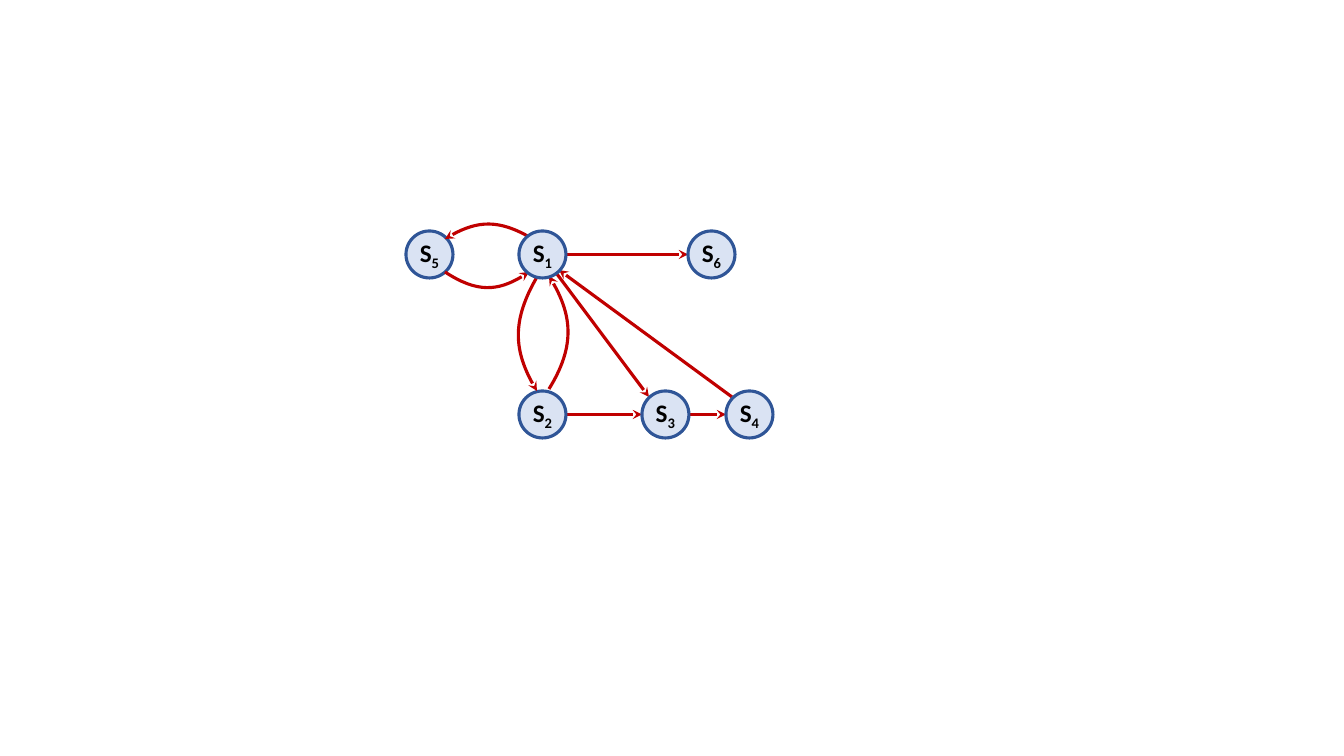
from lxml import etree
from pptx import Presentation, util as u
from pptx.dml.color import RGBColor
from pptx.enum import shapes, text
from pptx.oxml.ns import qn

# Content, lengths in px
SIZE = (1344, 756)
DIAMETER = 47
TOP_ROW, BOTTOM_ROW = 231, 391
STATES = {  # subscript: (left, top)
    "1": (519, TOP_ROW),
    "2": (519, BOTTOM_ROW),
    "3": (642, BOTTOM_ROW),
    "4": (726, BOTTOM_ROW),
    "5": (406, TOP_ROW),
    "6": (688, TOP_ROW),
}
ROW_ARROWS = [("1", "6"), ("2", "3"), ("3", "4")]
DIAGONAL_ARROWS = [((732, 397), (559, 270)), ((542, 254), (649, 397))]
CURVES = [  # start, two control points, end
    ((537, 277), (512, 320), (514, 354), (537, 391)),  # S1 to S2
    ((549, 389), (575, 347), (572, 312), (549, 276)),  # S2 to S1
    ((531, 238), (499, 219), (473, 221), (445, 239)),  # S1 to S5
    ((445, 272), (477, 293), (502, 291), (529, 272)),  # S5 to S1
]

RED = RGBColor(0xC0, 0x00, 0x00)
BLUE = RGBColor(0x2F, 0x55, 0x97)
PALE_BLUE = RGBColor(0xDA, 0xE3, 0xF3)
BLACK = RGBColor(0, 0, 0)
LINE_WIDTH = u.Pt(2.25)
SCALE = 914400 / 100.8


def px(value):
    return u.Emu(round(value * SCALE))


def style_line(sp, color):
    sp.line.color.rgb = color
    sp.line.width = LINE_WIDTH


def style_arrow(sp):
    style_line(sp, RED)
    ln = sp.line._get_or_add_ln()
    etree.SubElement(ln, qn("a:tailEnd"), type="stealth")


def add_arrow(slide, start, end):
    sp = slide.shapes.add_connector(
        shapes.MSO_CONNECTOR.STRAIGHT, *map(px, (*start, *end)))
    style_arrow(sp)
    etree.SubElement(sp._element.spPr, qn("a:effectLst"))


def add_curve(slide, points):
    """Add a cubic curve whose frame is set by its ends and its midpoint."""
    start, c1, c2, end = points
    middle = tuple((a + 3 * b + 3 * c + d) / 8
                   for a, b, c, d in zip(start, c1, c2, end))
    builder = slide.shapes.build_freeform(*start, scale=SCALE)
    builder.add_line_segments([middle, end], close=False)
    sp = builder.convert_to_shape()
    sp.fill.background()
    sp.shadow.inherit = False
    style_arrow(sp)

    outline = next(sp._element.iter(qn("a:path")))
    for segment in outline.findall(qn("a:lnTo")):
        outline.remove(segment)
    left = min(p[0] for p in (start, middle, end))
    top = min(p[1] for p in (start, middle, end))
    unit = int(outline.get("w")) / (sp.width / SCALE)
    bezier = etree.SubElement(outline, qn("a:cubicBezTo"))
    for x, y in (c1, c2, end):
        etree.SubElement(bezier, qn("a:pt"), x=str(round((x - left) * unit)),
                         y=str(round((y - top) * unit)))


def add_text(p, content, size=18, bold=True, color=BLACK, font="Calibri", baseline=0):
    r = p.add_run()
    r.text = content
    r.font.name, r.font.size, r.font.bold = font, u.Pt(size), bold
    r.font.color.rgb = color
    if baseline:
        r.font._element.set("baseline", str(baseline * 1000))


def add_state(slide, number):
    left, top = STATES[number]
    sp = slide.shapes.add_shape(
        shapes.MSO_SHAPE.OVAL, *map(px, (left, top, DIAMETER, DIAMETER)))
    sp.shadow.inherit = False
    sp.fill.solid()
    sp.fill.fore_color.rgb = PALE_BLUE
    style_line(sp, BLUE)
    tf = sp.text_frame
    tf.margin_left = tf.margin_right = tf.margin_top = tf.margin_bottom = 0
    tf.vertical_anchor = text.MSO_ANCHOR.MIDDLE
    p = tf.paragraphs[0]
    p.alignment = text.PP_ALIGN.CENTER
    add_text(p, "S")
    add_text(p, number, baseline=-25)


def main():
    prs = Presentation()
    prs.slide_width, prs.slide_height = map(px, SIZE)
    slide = prs.slides.add_slide(prs.slide_layouts[6])

    for source, target in ROW_ARROWS:
        left, top = STATES[source]
        y = top + DIAMETER / 2
        add_arrow(slide, (left + DIAMETER, y), (STATES[target][0], y))
    for start, end in DIAGONAL_ARROWS:
        add_arrow(slide, start, end)
    for number in "23456":
        add_state(slide, number)
    for points in CURVES:
        add_curve(slide, points)
    add_state(slide, "1")  # in front of the arrows that meet it

    prs.save("out.pptx")


if __name__ == "__main__":
    main()
